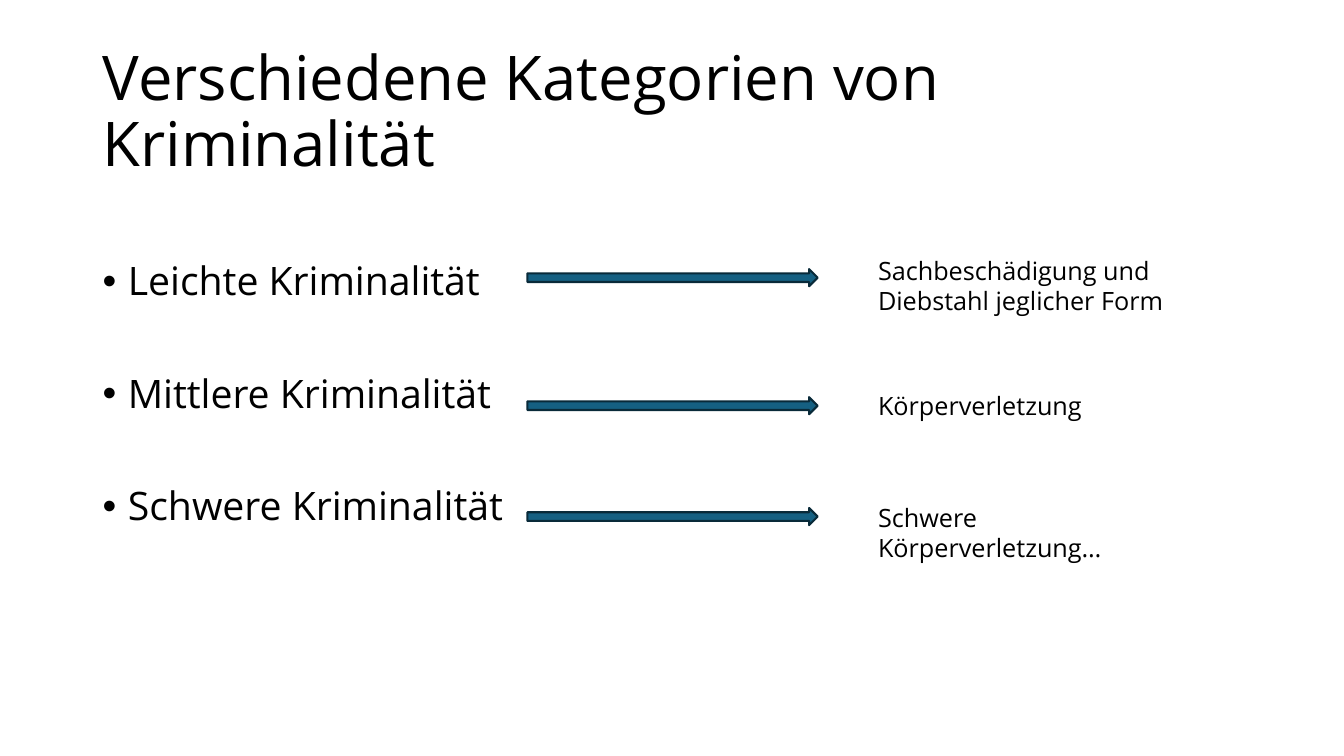
from typing import NamedTuple

from lxml import etree
from pptx import Presentation
from pptx.dml.color import RGBColor
from pptx.enum.shapes import MSO_SHAPE
from pptx.enum.text import MSO_ANCHOR, MSO_AUTO_SIZE
from pptx.oxml.ns import qn
from pptx.slide import Slide
from pptx.text.text import TextFrame, _Paragraph
from pptx.util import Emu, Pt

RIGHT_ARROW = MSO_SHAPE.RIGHT_ARROW
MIDDLE = MSO_ANCHOR.MIDDLE
FIT_SHAPE = MSO_AUTO_SIZE.SHAPE_TO_FIT_TEXT

COLORS = {"text": "000000", "arrow": "156082", "arrow_edge": "092A39"}
FONT = "Open Sans"
EMU_PER_PX = 9144

MARGIN_LEFT = 92
ARROW_LEFT, ARROW_WIDTH, ARROW_HEIGHT = 523, 288, 17
EXAMPLE_LEFT = 861
BULLET_INDENT = 25
LEVELS_TOP_INSET = 60


class Box(NamedTuple):
    left: int
    top: int
    width: int
    height: int


class CrimeLevel(NamedTuple):
    label: str
    arrow_top: int
    example: str
    example_top: int
    example_width: int
    example_height: int


CRIME_LEVELS = [
    CrimeLevel("Leichte Kriminalität", 267,
               "Sachbeschädigung und Diebstahl jeglicher Form", 248, 381, 71),
    CrimeLevel("Mittlere Kriminalität", 394, "Körperverletzung", 382, 302, 40),
    CrimeLevel("Schwere Kriminalität", 504, "Schwere Körperverletzung…", 493, 302, 71),
]


def px(length: int) -> Emu:
    return Emu(length * EMU_PER_PX)


def rgb(name: str) -> RGBColor:
    return RGBColor.from_string(COLORS[name])


def add_frame(slide: Slide, box: Box) -> TextFrame:
    frame = slide.shapes.add_textbox(*map(px, box)).text_frame
    frame.word_wrap = True
    return frame


def write(paragraph: _Paragraph, text: str, size: int, line_spacing: float = 1.0) -> None:
    paragraph.text = text
    paragraph.line_spacing = line_spacing
    paragraph.font.name = FONT
    paragraph.font.size = Pt(size)
    paragraph.font.color.rgb = rgb("text")


def add_bullet(paragraph: _Paragraph) -> None:
    properties = paragraph._p.get_or_add_pPr()
    properties.set("marL", str(px(BULLET_INDENT)))
    properties.set("indent", str(-px(BULLET_INDENT)))
    bullet_font = etree.Element(qn("a:buFont"), typeface="Arial")
    bullet = etree.Element(qn("a:buChar"), char="•")
    defaults = properties.find(qn("a:defRPr"))
    defaults.addprevious(bullet_font)
    defaults.addprevious(bullet)


def add_title(slide: Slide) -> None:
    frame = add_frame(slide, Box(MARGIN_LEFT, 40, 1150, 145))
    frame.vertical_anchor = MIDDLE
    write(frame.paragraphs[0], "Verschiedene Kategorien von Kriminalität", 44, 0.9)


def add_level_list(slide: Slide) -> None:
    frame = add_frame(slide, Box(MARGIN_LEFT, 200, 496, 476))
    frame.margin_top = px(LEVELS_TOP_INSET)
    for index, level in enumerate(CRIME_LEVELS):
        paragraph = frame.add_paragraph() if index else frame.paragraphs[0]
        write(paragraph, level.label, 28, 0.9)
        paragraph.space_before = Pt(50 if index else 0)
        add_bullet(paragraph)


def add_arrow(slide: Slide, top: int) -> None:
    box = Box(ARROW_LEFT, top, ARROW_WIDTH, ARROW_HEIGHT)
    arrow = slide.shapes.add_shape(RIGHT_ARROW, *map(px, box))
    arrow.shadow.inherit = False
    arrow.fill.solid()
    arrow.fill.fore_color.rgb = rgb("arrow")
    arrow.line.color.rgb = rgb("arrow_edge")
    arrow.line.width = Pt(1.5)


def add_example(slide: Slide, level: CrimeLevel) -> None:
    frame = add_frame(slide, Box(EXAMPLE_LEFT, level.example_top,
                                 level.example_width, level.example_height))
    frame.auto_size = FIT_SHAPE
    write(frame.paragraphs[0], level.example, 18)


def main() -> None:
    presentation = Presentation()
    presentation.slide_width = px(1333)
    presentation.slide_height = px(750)
    slide = presentation.slides.add_slide(presentation.slide_layouts[6])
    add_title(slide)
    add_level_list(slide)
    for level in CRIME_LEVELS:
        add_arrow(slide, level.arrow_top)
        add_example(slide, level)
    presentation.save("out.pptx")


if __name__ == "__main__":
    main()
